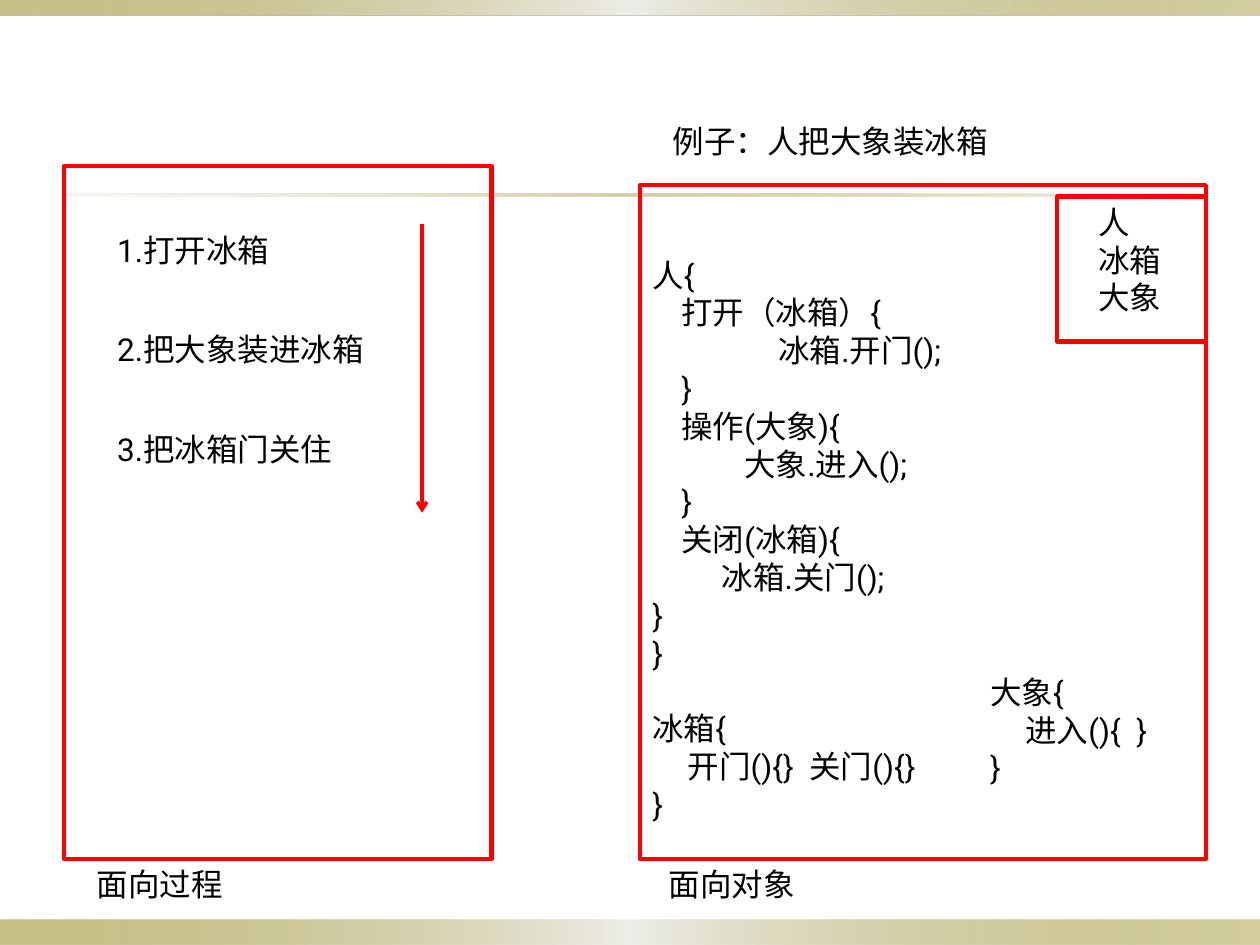
from pptx import Presentation
from pptx.dml.color import RGBColor
from pptx.enum.shapes import MSO_CONNECTOR as LINE, MSO_SHAPE as SHAPE
from pptx.enum.text import MSO_ANCHOR as ANCHOR, MSO_AUTO_SIZE as FIT, PP_ALIGN as ALIGN
from pptx.oxml import parse_xml
from pptx.oxml.ns import nsdecls, qn
from pptx.util import Inches, Pt
from lxml import etree


def color(code):
    return RGBColor.from_string(code)


class Deck:
    font = {"name": "Roboto", "size": Pt(18), "bold": False}
    frame = {"word_wrap": True, "auto_size": FIT.NONE, "vertical_anchor": ANCHOR.TOP,
             "margin_left": Inches(0.1), "margin_right": Inches(0.1),
             "margin_top": Inches(0.05), "margin_bottom": Inches(0.05)}
    para = {"alignment": ALIGN.LEFT, "space_before": Pt(0), "space_after": Pt(0)}
    ink, red = "000000", "FF0000"

    def __init__(self, slide):
        self.slide = slide

    def apply(self, item, style):
        for key, value in style.items():
            setattr(item, key, value)

    def rect(self, box):
        shape = self.slide.shapes.add_shape(SHAPE.RECTANGLE, *map(Inches, box))
        shape.shadow.inherit = False
        return shape

    def band(self, box, stops):
        """Strip with a left-to-right gradient; stops are (place, color, opacity)."""
        shape = self.rect(box)
        shape.line.fill.background()
        shape.fill.gradient()
        shape.fill.gradient_angle = 0
        marks = "".join(
            f'<a:gs pos="{place * 1000}"><a:srgbClr val="{code}">'
            f'<a:alpha val="{alpha * 1000}"/></a:srgbClr></a:gs>'
            for place, code, alpha in stops)
        old = shape.element.spPr.find(".//" + qn("a:gsLst"))
        old.getparent().replace(
            old, parse_xml(f'<a:gsLst {nsdecls("a")}>{marks}</a:gsLst>'))

    def outline(self, box):
        shape = self.rect(box)
        shape.fill.background()
        shape.line.color.rgb = color(self.red)
        shape.line.width = Pt(2.5)

    def arrow(self, x, top, end):
        line = self.slide.shapes.add_connector(
            LINE.STRAIGHT, Inches(x), Inches(top), Inches(x), Inches(end))
        line.line.color.rgb = color(self.red)
        line.line.width = Pt(2)
        props = line.element.spPr
        etree.SubElement(props.find(qn("a:ln")), qn("a:tailEnd"), type="arrow")
        etree.SubElement(props, qn("a:effectLst"))

    def put(self, shape, lines, gap=0):
        """Fill a shape with (indent, text) lines, gap points apart."""
        frame = shape.text_frame
        self.apply(frame, self.frame)
        for i, (indent, text) in enumerate(lines):
            para = frame.paragraphs[0] if i == 0 else frame.add_paragraph()
            self.apply(para, self.para)
            if i:
                para.space_before = Pt(gap)
            props = para._p.get_or_add_pPr()
            props.set("marL", str(Inches(indent)))
            props.set("indent", "0")
            etree.SubElement(props, qn("a:buNone"))
            run = para.add_run()
            run.text = text
            self.apply(run.font, self.font)
            run.font.color.rgb = color(self.ink)
        return frame

    def text(self, box, lines):
        return self.put(self.slide.shapes.add_textbox(*map(Inches, box)), lines)

    def fill(self, holder, box, lines, gap=0):
        names = ("left", "top", "width", "height")
        self.apply(holder, dict(zip(names, map(Inches, box))))
        self.put(holder, lines, gap)


def main():
    prs = Presentation()
    prs.slide_width, prs.slide_height = Inches(10), Inches(7.5)
    slide = prs.slides.add_slide(prs.slide_layouts[1])
    deck = Deck(slide)

    # Gold bands and rule
    gold = [(0, "918415", 50), (50, "EEEDE8", 100), (100, "918415", 40)]
    pale = [(0, "DCD9CC", 20), (50, "918415", 40), (100, "DCD9CC", 50)]
    deck.band((0, 7.3, 10, 0.2), gold)
    deck.band((0, 0, 10, 0.12), gold)
    deck.band((0.5, 1.54, 9, 0.02), pale)

    # Title and steps
    deck.fill(slide.shapes.title, (5.24, 0.92, 4.09, 0.4), [(0, "例子：人把大象装冰箱")])
    steps = ["1.打开冰箱", "2.把大象装进冰箱", "3.把冰箱门关住"]
    deck.fill(slide.placeholders[1], (0.83, 1.78, 2.6, 1.98),
              [(0, step) for step in steps], gap=35.3)

    # Procedural side
    deck.outline((0.51, 1.32, 3.39, 5.5))
    deck.arrow(3.35, 1.78, 4.07)
    deck.text((0.67, 6.82, 3.23, 0.4), [(0, "面向过程")])

    # Object side
    deck.outline((5.08, 1.47, 4.49, 5.35))
    deck.text((5.21, 6.82, 3.07, 0.4), [(0, "面向对象")])
    deck.outline((8.39, 1.56, 1.18, 1.15))
    deck.text((8.62, 1.56, 0.94, 1.01), [(0, "人"), (0, "冰箱"), (0, "大象")])

    # Class sketches
    code = deck.text((5.08, 1.98, 4.1, 4.64), [
        (0, "人{"),
        (0.23, "打开（冰箱）{"), (1, "冰箱.开门();"), (0.23, "}"),
        (0.23, "操作(大象){"), (0.73, "大象.进入();"), (0.23, "}"),
        (0.23, "关闭(冰箱){"), (0.55, "冰箱.关门();"), (0, "}"),
        (0, "}"),
        (0, "冰箱{"), (0.28, "开门(){}  关门(){}"), (0, "}")])
    code.paragraphs[11].space_before = Pt(21.6)
    deck.text((7.76, 5.29, 2.24, 1.01),
              [(0, "大象{"), (0.28, "进入(){  }"), (0, "}")])

    prs.save("out.pptx")


if __name__ == "__main__":
    main()
